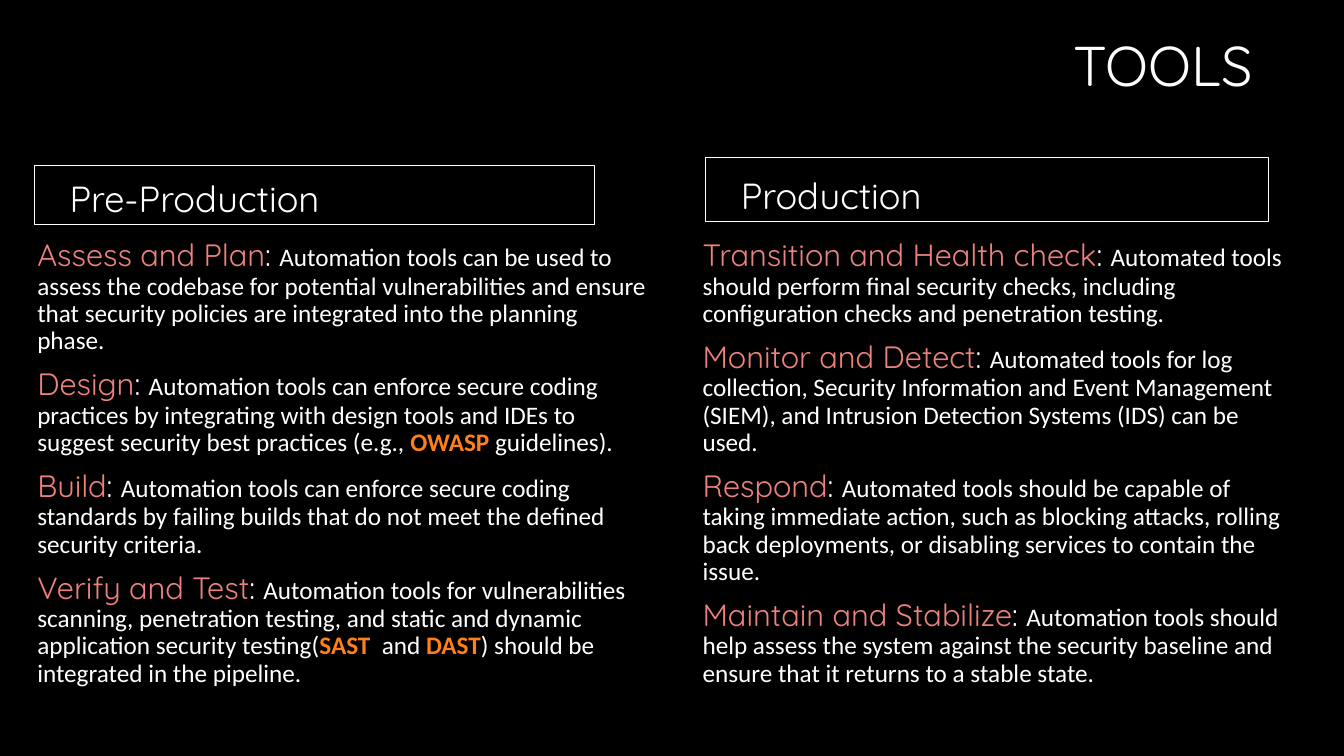
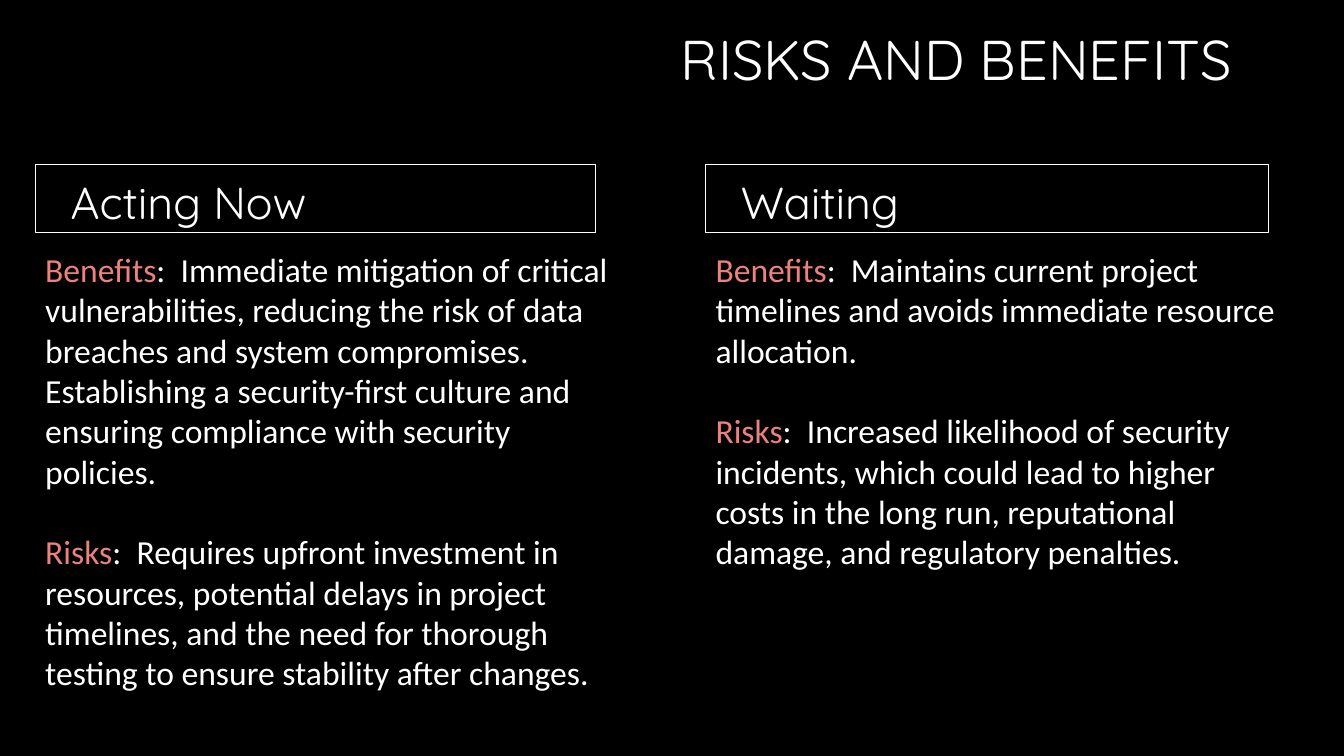
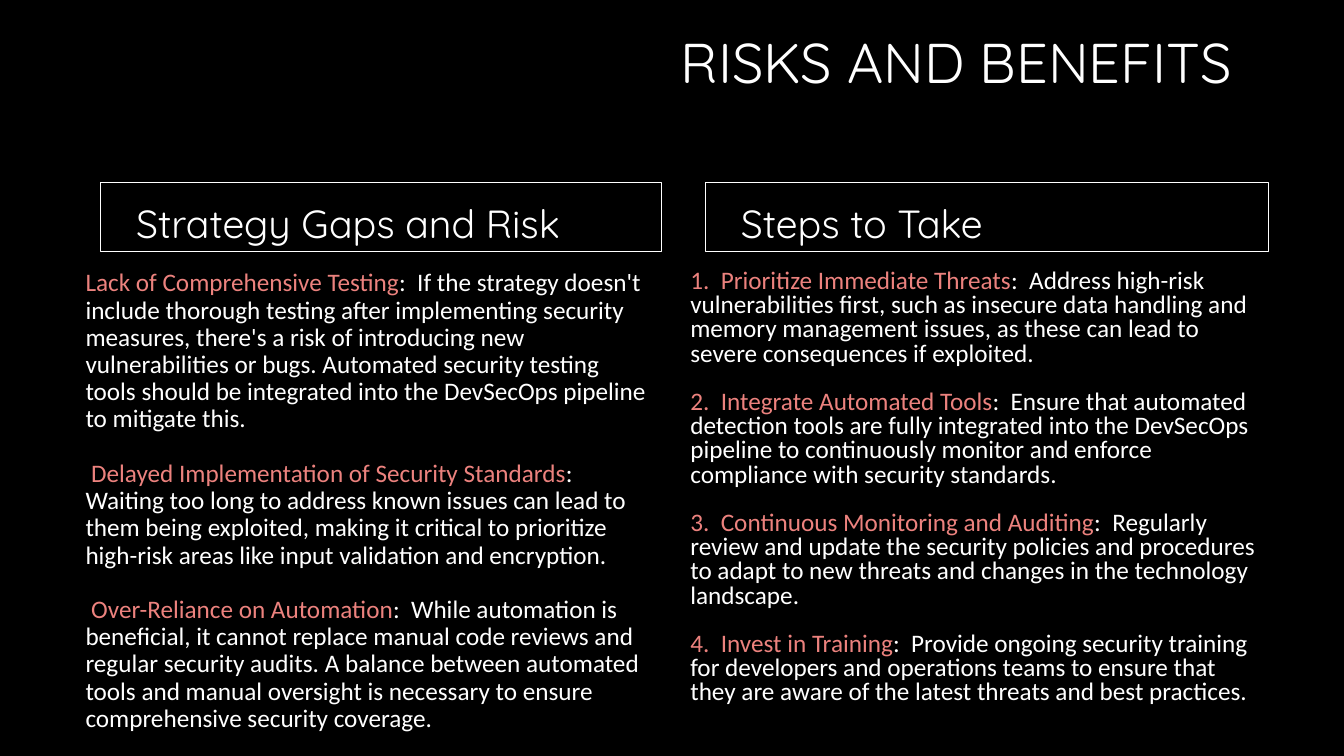
from dataclasses import dataclass

from pptx import Presentation
from pptx.dml.color import RGBColor
from pptx.enum.shapes import MSO_SHAPE as Preset
from pptx.enum.text import MSO_ANCHOR as Anchor, PP_ALIGN as Align
from pptx.util import Inches, Pt

SLIDE_WIDTH, SLIDE_HEIGHT = Inches(13.33), Inches(7.5)
COLUMN, ROW = SLIDE_WIDTH / 80, SLIDE_HEIGHT / 45
COLORS = {
    "background": "000000",
    "text": "FFFFFF",
    "term": "EC827E",
    "emphasis": "FE801A",
}
HEADING_FONT, BODY_FONT = "Quicksand", "Calibri"
TITLE_SIZE = 40
LINE_HEIGHT = 1.2


@dataclass(frozen=True)
class Box:
    column: float
    row: float
    columns: float
    rows: float

    def place(self) -> tuple[int, int, int, int]:
        return (round(self.column * COLUMN), round(self.row * ROW),
                round(self.columns * COLUMN), round(self.rows * ROW))


@dataclass(frozen=True)
class Entry:
    term: str
    text: str
    lead: str = ""


@dataclass(frozen=True)
class BodyStyle:
    term_font: str
    term_size: float
    text_size: float
    separator: str
    margin: float = 0.1
    space_before: float = 0
    blank_lines: int = 0


@dataclass(frozen=True)
class Panel:
    heading: str
    heading_box: Box
    body_box: Box
    spacing: float
    entries: tuple[Entry, ...]


@dataclass(frozen=True)
class Page:
    title: str
    title_box: Box
    heading_size: float
    heading_spacing: float
    style: BodyStyle
    panels: tuple[Panel, ...]


LABELLED = BodyStyle(HEADING_FONT, 22, 18, ": ", margin=0.22, space_before=10)
LARGE = BodyStyle(BODY_FONT, 24, 24, ":  ", blank_lines=1)
COMPACT = BodyStyle(BODY_FONT, 18, 18, ":  ", blank_lines=1)

PAGES = (
    Page("TOOLS", Box(18.66, -0.18, 56.5, 8.5), 25.9, 0.8, LABELLED, (
        Panel("Pre-Production", Box(2.04, 9.84, 33.36, 3.54), Box(0.9, 14, 38.4, 30.54), 0.9, (
            Entry("Assess and Plan",
                  "Automation tools can be used to assess the codebase for potential "
                  "vulnerabilities and ensure that security policies are integrated "
                  "into the planning phase."),
            Entry("Design",
                  "Automation tools can enforce secure coding practices by integrating "
                  "with design tools and IDEs to suggest security best practices "
                  "(e.g., *OWASP* guidelines)."),
            Entry("Build",
                  "Automation tools can enforce secure coding standards by failing "
                  "builds that do not meet the defined security criteria."),
            Entry("Verify and Test",
                  "Automation tools for vulnerabilities scanning, penetration testing, "
                  "and static and dynamic application security testing(*SAST*  and "
                  "*DAST*) should be integrated in the pipeline."),
        )),
        Panel("Production", Box(42, 9.36, 33.48, 3.84), Box(40.5, 14, 37.38, 30.54), 0.9, (
            Entry("Transition and Health check",
                  "Automated tools should perform final security checks, including "
                  "configuration checks and penetration testing."),
            Entry("Monitor and Detect",
                  "Automated tools for log collection, Security Information and Event "
                  "Management (SIEM), and Intrusion Detection Systems (IDS) can be used."),
            Entry("Respond",
                  "Automated tools should be capable of taking immediate action, such as "
                  "blocking attacks, rolling back deployments, or disabling services to "
                  "contain the issue."),
            Entry("Maintain and Stabilize",
                  "Automation tools should help assess the system against the security "
                  "baseline and ensure that it returns to a stable state."),
        )),
    )),
    Page("RISKS AND BENEFITS", Box(17.4, -0.54, 56.5, 8.5), 32, 0.8, LARGE, (
        Panel("Acting Now", Box(2.1, 9.78, 33.36, 4.08), Box(2.1, 14.52, 35, 28.62), 1.0, (
            Entry("Benefits",
                  "Immediate mitigation of critical vulnerabilities, reducing the risk "
                  "of data breaches and system compromises. Establishing a "
                  "security-first culture and ensuring compliance with security policies."),
            Entry("Risks",
                  "Requires upfront investment in resources, potential delays in project "
                  "timelines, and the need for thorough testing to ensure stability "
                  "after changes."),
        )),
        Panel("Waiting", Box(42, 9.78, 33.48, 4.08), Box(42, 14.52, 35, 23.94), 1.0, (
            Entry("Benefits",
                  "Maintains current project timelines and avoids immediate resource "
                  "allocation."),
            Entry("Risks",
                  "Increased likelihood of security incidents, which could lead to "
                  "higher costs in the long run, reputational damage, and regulatory "
                  "penalties."),
        )),
    )),
    Page("RISKS AND BENEFITS", Box(17.4, -0.36, 56.5, 8.5), 28, 0.9, COMPACT, (
        Panel("Strategy Gaps and Risk", Box(6, 10.86, 33.36, 4.14), Box(4.5, 15.78, 34.86, 28.5), 0.9, (
            Entry("Lack of Comprehensive Testing",
                  "If the strategy doesn't include thorough testing after implementing "
                  "security measures, there's a risk of introducing new vulnerabilities "
                  "or bugs. Automated security testing tools should be integrated into "
                  "the DevSecOps pipeline to mitigate this."),
            Entry("Delayed Implementation of Security Standards",
                  "Waiting too long to address known issues can lead to them being "
                  "exploited, making it critical to prioritize high-risk areas like "
                  "input validation and encryption.", lead=" "),
            Entry("Over-Reliance on Automation",
                  "While automation is beneficial, it cannot replace manual code reviews "
                  "and regular security audits. A balance between automated tools and "
                  "manual oversight is necessary to ensure comprehensive security "
                  "coverage.", lead=" "),
        )),
        Panel("Steps to Take", Box(42, 10.86, 33.48, 4.14), Box(40.5, 15.78, 35, 28.5), 0.8, (
            Entry("1.  Prioritize Immediate Threats",
                  "Address high-risk vulnerabilities first, such as insecure data "
                  "handling and memory management issues, as these can lead to severe "
                  "consequences if exploited."),
            Entry("2.  Integrate Automated Tools",
                  "Ensure that automated detection tools are fully integrated into the "
                  "DevSecOps pipeline to continuously monitor and enforce compliance "
                  "with security standards."),
            Entry("3.  Continuous Monitoring and Auditing",
                  "Regularly review and update the security policies and procedures to "
                  "adapt to new threats and changes in the technology landscape."),
            Entry("4.  Invest in Training",
                  "Provide ongoing security training for developers and operations teams "
                  "to ensure that they are aware of the latest threats and best "
                  "practices."),
        )),
    )),
)


def color(name: str) -> RGBColor:
    return RGBColor.from_string(COLORS[name])


def add_run(paragraph, text: str, font: str, size: float,
            color_name: str = "text", bold: bool = False) -> None:
    run = paragraph.add_run()
    run.text = text
    run.font.name = font
    run.font.size = Pt(size)
    run.font.bold = bold
    run.font.color.rgb = color(color_name)


def prepare_frame(shape, anchor: Anchor, margin: float = 0.1):
    frame = shape.text_frame
    frame.word_wrap = True
    frame.vertical_anchor = anchor
    frame.margin_left = Inches(margin)
    return frame


def add_title(slide, page: Page) -> None:
    shape = slide.shapes.add_textbox(*page.title_box.place())
    paragraph = prepare_frame(shape, Anchor.MIDDLE).paragraphs[0]
    paragraph.alignment = Align.RIGHT
    paragraph.line_spacing = 0.9
    add_run(paragraph, page.title, HEADING_FONT, TITLE_SIZE)


def add_heading(slide, panel: Panel, page: Page) -> None:
    shape = slide.shapes.add_shape(Preset.RECTANGLE, *panel.heading_box.place())
    shape.shadow.inherit = False
    shape.fill.background()
    shape.line.color.rgb = color("text")
    shape.line.width = Pt(0.75)
    paragraph = prepare_frame(shape, Anchor.BOTTOM, 0.35).paragraphs[0]
    paragraph.alignment = Align.LEFT
    paragraph.line_spacing = page.heading_spacing
    paragraph.space_before = Pt(10)
    add_run(paragraph, panel.heading, HEADING_FONT, page.heading_size)


def add_body(slide, panel: Panel, style: BodyStyle) -> None:
    shape = slide.shapes.add_textbox(*panel.body_box.place())
    frame = prepare_frame(shape, Anchor.TOP, style.margin)
    gap = style.blank_lines * style.text_size * LINE_HEIGHT * panel.spacing
    for index, entry in enumerate(panel.entries):
        paragraph = frame.add_paragraph() if index else frame.paragraphs[0]
        paragraph.line_spacing = panel.spacing
        paragraph.space_before = Pt(style.space_before)
        paragraph.space_after = Pt(gap)
        add_run(paragraph, entry.lead + entry.term, style.term_font, style.term_size, "term")
        add_run(paragraph, style.separator, style.term_font, style.term_size)
        for position, part in enumerate(entry.text.split("*")):
            emphasized = position % 2 == 1
            add_run(paragraph, part, BODY_FONT, style.text_size,
                    "emphasis" if emphasized else "text", emphasized)


def main() -> None:
    presentation = Presentation()
    presentation.slide_width, presentation.slide_height = SLIDE_WIDTH, SLIDE_HEIGHT
    background = presentation.slide_master.background.fill
    background.solid()
    background.fore_color.rgb = color("background")
    blank_layout = presentation.slide_layouts[6]
    for page in PAGES:
        slide = presentation.slides.add_slide(blank_layout)
        add_title(slide, page)
        for panel in page.panels:
            add_heading(slide, panel, page)
            add_body(slide, panel, page.style)
    presentation.save("out.pptx")


if __name__ == "__main__":
    main()
